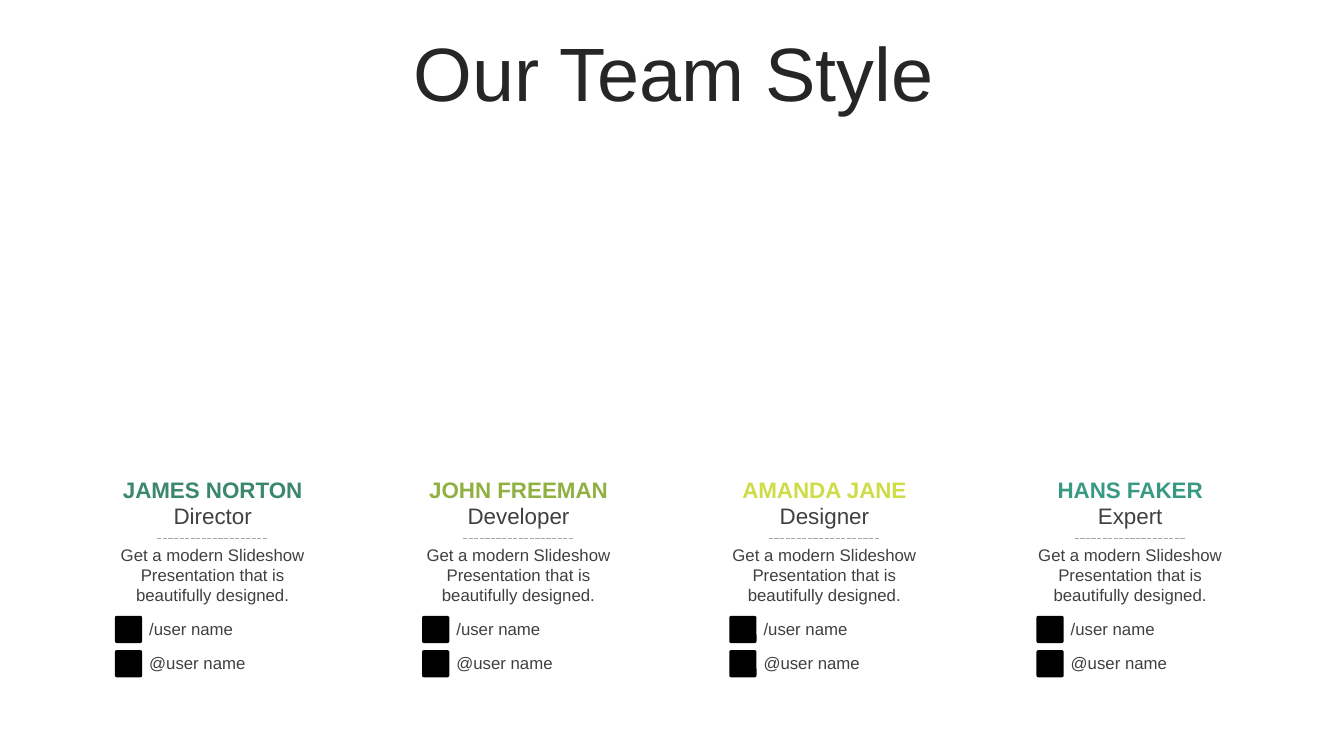
import dataclasses
import pptx
import pptx.dml.color
import pptx.enum.dml
import pptx.enum.shapes
import pptx.enum.text
import pptx.oxml.ns
import pptx.util
import lxml.etree

ALIGN = pptx.enum.text.PP_ALIGN
ANCHOR = pptx.enum.text.MSO_ANCHOR
FIT = pptx.enum.text.MSO_AUTO_SIZE
INCH = pptx.util.Inches


@dataclasses.dataclass(frozen=True)
class Theme:
    font: str = "Arial"
    title: str = "262626"
    body: str = "404040"
    rule: str = "A6A6A6"
    icon: str = "000000"
    title_size: int = 54
    name_size: int = 16
    body_size: int = 12


@dataclasses.dataclass(frozen=True)
class Box:
    left: float
    top: float
    width: float
    height: float

    def inner(self, left, top, width, height):
        return Box(self.left + left, self.top + top, width, height)

    def lengths(self):
        return [INCH(length) for length in dataclasses.astuple(self)]


THEME = Theme()
TITLE = Box(0.35, 0.37, 12.66, 0.79)
PROFILES = Box(1.08, 4.72, 2.06, 1.29)
CONTACTS = Box(1.14, 6.11, 1.9, 0.61)
PROFILE_SPAN = 9.1
CONTACT_SPAN = 9.14

MEMBERS = [
    ("JAMES NORTON", "Director", "3A876B"),
    ("JOHN FREEMAN", "Developer", "90B141"),
    ("AMANDA JANE", "Designer", "CEDD46"),
    ("HANS FAKER", "Expert", "399A84"),
]
SUMMARY = "Get a modern Slideshow Presentation that is beautifully designed."
HANDLES = ["/user name", "@user name"]


def rgb(color):
    return pptx.dml.color.RGBColor.from_string(color)


def style_paragraph(paragraph, size, color, align, bold=False):
    paragraph.alignment = align
    paragraph.font.name = THEME.font
    paragraph.font.size = pptx.util.Pt(size)
    paragraph.font.bold = bold
    paragraph.font.color.rgb = rgb(color)


def add_text(shapes, box, text, size, color, align=ALIGN.CENTER, anchor=ANCHOR.TOP, bold=False):
    frame = shapes.add_textbox(*box.lengths()).text_frame
    frame.margin_left = frame.margin_right = frame.margin_top = frame.margin_bottom = 0
    frame.word_wrap = True
    frame.auto_size = FIT.SHAPE_TO_FIT_TEXT
    frame.vertical_anchor = anchor
    frame.text = text
    style_paragraph(frame.paragraphs[0], size, color, align, bold)


def add_title(slide, box, text):
    title = slide.shapes.title
    title.left, title.top, title.width, title.height = box.lengths()
    frame = title.text_frame
    frame.text = text
    frame.auto_size = FIT.NONE
    frame.vertical_anchor = ANCHOR.MIDDLE
    paragraph = frame.paragraphs[0]
    paragraph.line_spacing = 0.9
    style_paragraph(paragraph, THEME.title_size, THEME.title, ALIGN.CENTER)


def add_rule(shapes, box):
    left, top, width, _ = box.lengths()
    rule = shapes.add_connector(
        pptx.enum.shapes.MSO_CONNECTOR.STRAIGHT, left, top, left + width, top
    )
    rule.line.color.rgb = rgb(THEME.rule)
    rule.line.width = pptx.util.Pt(1)
    rule.line.dash_style = pptx.enum.dml.MSO_LINE.SQUARE_DOT
    lxml.etree.SubElement(rule.element.spPr, pptx.oxml.ns.qn("a:effectLst"))


def add_profile(shapes, box, name, role, color):
    width = box.width
    add_text(shapes, box.inner(0, 0, width, 0.27), name, THEME.name_size, color, bold=True)
    add_text(shapes, box.inner(0, 0.26, width, 0.27), role, THEME.name_size, THEME.body)
    add_rule(shapes, box.inner(0.48, 0.62, 1.1, 0))
    add_text(shapes, box.inner(0, 0.68, width, 0.61), SUMMARY, THEME.body_size, THEME.body)


def add_contacts(shapes, box):
    icon_side = 0.27
    pitch = box.height - icon_side
    for row, handle in enumerate(HANDLES):
        top = row * pitch
        icon = shapes.add_shape(
            pptx.enum.shapes.MSO_SHAPE.ROUNDED_RECTANGLE,
            *box.inner(0, top, icon_side, icon_side).lengths(),
        )
        icon.adjustments[0] = 0.07
        icon.shadow.inherit = False
        icon.fill.solid()
        icon.fill.fore_color.rgb = rgb(THEME.icon)
        icon.line.fill.background()
        add_text(
            shapes, box.inner(0.34, top + 0.03, box.width - 0.34, 0.2), handle,
            THEME.body_size, THEME.body, ALIGN.LEFT, ANCHOR.MIDDLE,
        )


def add_team(slide):
    for index, (name, role, color) in enumerate(MEMBERS):
        share = index / (len(MEMBERS) - 1)
        shapes = slide.shapes.add_group_shape().shapes
        profile = PROFILES.inner(share * PROFILE_SPAN, 0, PROFILES.width, PROFILES.height)
        contacts = CONTACTS.inner(share * CONTACT_SPAN, 0, CONTACTS.width, CONTACTS.height)
        add_profile(shapes, profile, name, role, color)
        add_contacts(shapes, contacts)


def main():
    presentation = pptx.Presentation()
    presentation.slide_width = INCH(13.33)
    presentation.slide_height = INCH(7.5)
    slide = presentation.slides.add_slide(presentation.slide_layouts.get_by_name("Title Only"))
    add_title(slide, TITLE, "Our Team Style")
    add_team(slide)
    presentation.save("out.pptx")


if __name__ == "__main__":
    main()
